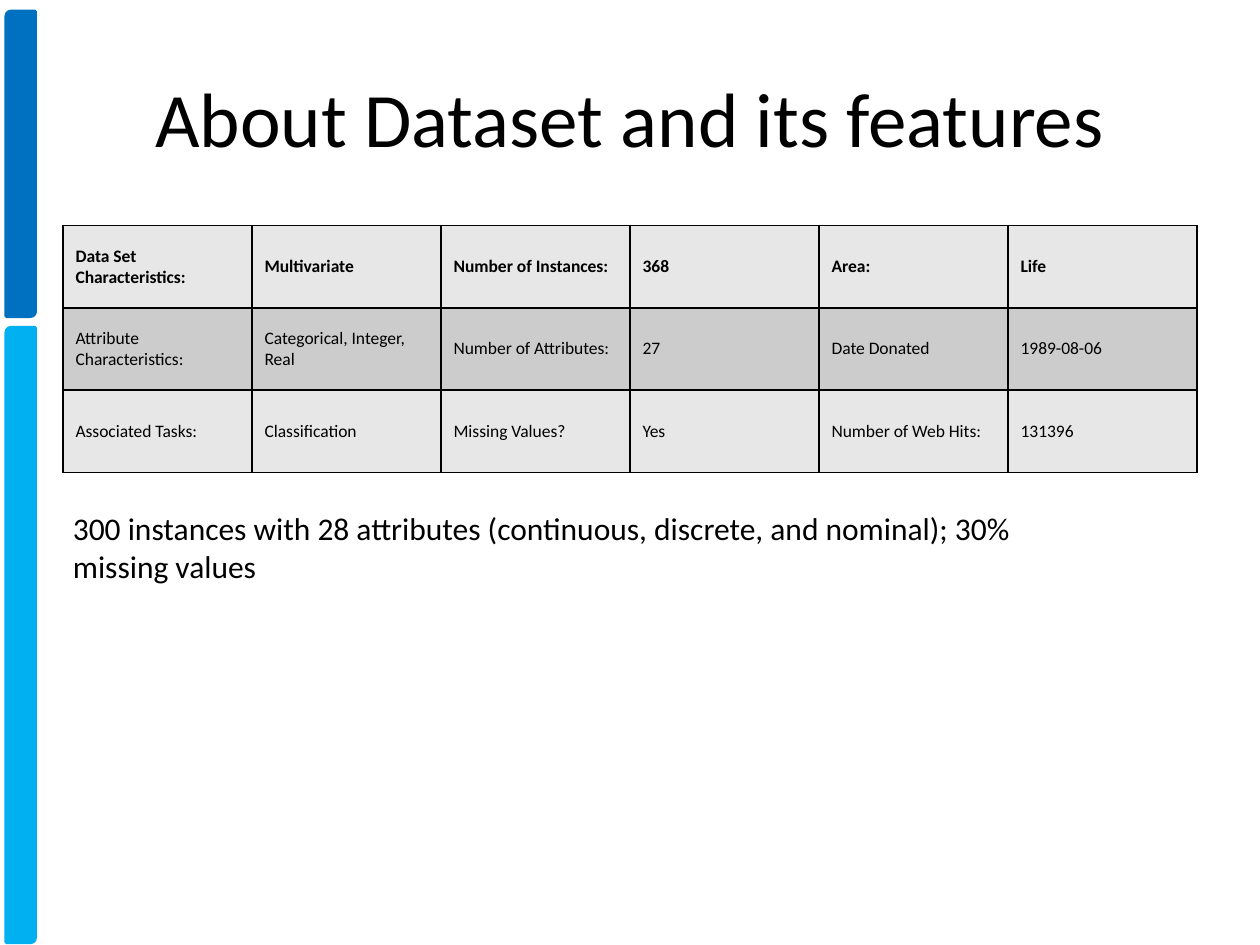
import pptx
import pptx.dml.color
import pptx.enum.shapes
import pptx.enum.text
import pptx.oxml
import pptx.oxml.ns
import pptx.util

COLUMNS, ROWS = 20, 15


def rgb(value):
    return pptx.dml.color.RGBColor.from_string(value)


class Deck:
    font = "Calibri"
    ink = "000000"
    bands = ("E7E7E7", "CCCCCC")

    def __init__(self, width, height):
        self.prs = pptx.Presentation()
        self.prs.slide_width = pptx.util.Inches(width)
        self.prs.slide_height = pptx.util.Inches(height)
        self.s = self.prs.slides.add_slide(self.prs.slide_layouts[5])

    def box(self, col, row, cols, rows):
        w = self.prs.slide_width / COLUMNS
        h = self.prs.slide_height / ROWS
        return [round(v) for v in (col * w, row * h, cols * w, rows * h)]

    def set_text(self, tf, text, size, bold=False, align=pptx.enum.text.PP_ALIGN.LEFT):
        tf.text = text
        tf.word_wrap = True
        p = tf.paragraphs[0]
        p.alignment = align
        f = p.runs[0].font
        f.name, f.size, f.bold = self.font, pptx.util.Pt(size), bold
        f.color.rgb = rgb(self.ink)

    def title(self, text, *place):
        sp = self.s.shapes.title
        sp.left, sp.top, sp.width, sp.height = self.box(*place)
        sp.text_frame.vertical_anchor = pptx.enum.text.MSO_ANCHOR.MIDDLE
        self.set_text(sp.text_frame, text, 44, align=pptx.enum.text.PP_ALIGN.CENTER)

    def bar(self, color, *place):
        kind = pptx.enum.shapes.MSO_SHAPE.ROUND_2_DIAG_RECTANGLE
        sp = self.s.shapes.add_shape(kind, *self.box(*place))
        sp.shadow.inherit = False
        sp.fill.solid()
        sp.fill.fore_color.rgb = rgb(color)
        sp.line.color.rgb = rgb(color)
        sp.line.width = pptx.util.Pt(2)

    def text(self, text, *place):
        sp = self.s.shapes.add_textbox(*self.box(*place))
        self.set_text(sp.text_frame, text, 18)
        sp.text_frame.auto_size = pptx.enum.text.MSO_AUTO_SIZE.SHAPE_TO_FIT_TEXT

    def border(self, cell):
        tc_pr = cell._tc.get_or_add_tcPr()
        for i, side in enumerate(("lnL", "lnR", "lnT", "lnB")):
            tc_pr.insert(i, pptx.oxml.parse_xml(
                f'<a:{side} {pptx.oxml.ns.nsdecls("a")} w="{pptx.util.Pt(1)}">'
                f'<a:solidFill><a:srgbClr val="{self.ink}"/></a:solidFill></a:{side}>'))

    def table(self, data, *place):
        shape = self.s.shapes.add_table(len(data), len(data[0]), *self.box(*place))
        for i, values in enumerate(data):
            for j, value in enumerate(values):
                cell = shape.table.cell(i, j)
                cell.vertical_anchor = pptx.enum.text.MSO_ANCHOR.MIDDLE
                cell.fill.solid()
                cell.fill.fore_color.rgb = rgb(self.bands[i % 2])
                self.set_text(cell.text_frame, value, 10, bold=i == 0)
                self.border(cell)


def main():
    deck = Deck(10, 7.5)
    deck.bar("0070C0", 0.1, 0.18, 0.46, 4.84)
    deck.bar("00B0F0", 0.1, 5.2, 0.46, 9.76)
    deck.table([
        ["Data Set Characteristics:", "Multivariate", "Number of Instances:",
         "368", "Area:", "Life"],
        ["Attribute Characteristics:", "Categorical, Integer, Real",
         "Number of Attributes:", "27", "Date Donated", "1989-08-06"],
        ["Associated Tasks:", "Classification", "Missing Values?",
         "Yes", "Number of Web Hits:", "131396"],
    ], 1, 3.58, 18, 3.92)
    deck.title("About Dataset and its features", 1, 0.6, 18, 2.5)
    deck.text("300 instances with 28 attributes (continuous, discrete, and nominal); "
              "30% missing values", 0.96, 7.98, 16.5, 1.42)
    deck.prs.save("out.pptx")


if __name__ == "__main__":
    main()
